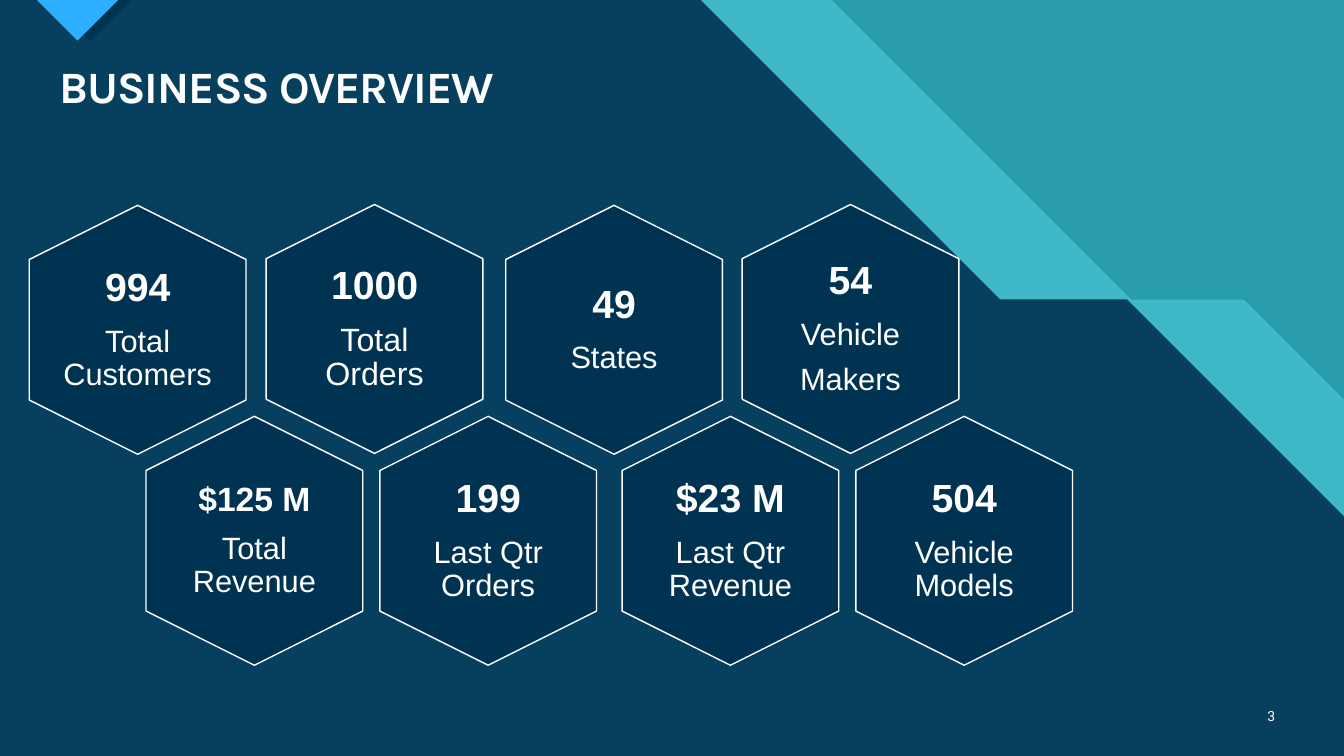
from dataclasses import dataclass

from pptx import Presentation
from pptx.dml.color import RGBColor
from pptx.enum.shapes import MSO_SHAPE
from pptx.enum.text import MSO_ANCHOR, PP_ALIGN
from pptx.util import Pt

HEXAGON = MSO_SHAPE.HEXAGON
TOP, MIDDLE = MSO_ANCHOR.TOP, MSO_ANCHOR.MIDDLE
LEFT, CENTER, RIGHT = PP_ALIGN.LEFT, PP_ALIGN.CENTER, PP_ALIGN.RIGHT


@dataclass(frozen=True)
class Theme:
    """Colours, fonts and type sizes of the slide."""

    teal: str = "299CAB"
    band: str = "3FB9C9"
    ground: str = "06405E"
    navy: str = "003352"
    accent: str = "2FAFFF"
    white: str = "FFFFFF"
    title_font: str = "Karla"
    body_font: str = "Arial"
    number_font: str = "Roboto"
    title: int = 32
    figure: int = 28
    small_figure: int = 24
    label: int = 22
    large_label: int = 23
    page: int = 10


THEME = Theme()
SLIDE_WIDTH, SLIDE_HEIGHT = 960, 540
HEX_LENGTH, HEX_BREADTH = 177.8, 154.8
CAPTION_WIDTH, CAPTION_HEIGHT = 106.6, 122.4
LINE_SPACING = 0.9
GAP_RATIO = 0.4

BACKDROP = [
    (THEME.band, [(0, 0), (594, 0), (808, 214), (888.5, 214),
                  (960, 285.5), (960, 540), (0, 540)]),
    (THEME.ground, [(0, 0), (500.4, 0), (714.2, 213.8), (805, 213.8),
                    (960, 368.8), (960, 540), (0, 540)]),
    (THEME.navy, [(35, 0), (94, 0), (64.5, 29.5)]),
    (THEME.accent, [(26.4, 0), (84.4, 0), (55.4, 29)]),
]

METRICS = [
    (98.3, 235.6, "994", THEME.figure, ["Total Customers"], THEME.label),
    (267.5, 235, "1000", THEME.figure, ["Total Orders"], THEME.large_label),
    (438.6, 235.6, "49", THEME.figure, ["States"], THEME.label),
    (607.5, 235, "54", THEME.figure, ["Vehicle", "Makers"], THEME.label),
    (181.7, 386.3, "$125 M", THEME.small_figure, ["Total Revenue"], THEME.label),
    (348.7, 386.3, "199", THEME.figure, ["Last Qtr Orders"], THEME.label),
    (521.7, 386.3, "$23 M", THEME.figure, ["Last Qtr Revenue"], THEME.label),
    (688.7, 386.3, "504", THEME.figure, ["Vehicle Models"], THEME.label),
]


def paint(fill, colour):
    """Give a fill one solid colour."""
    fill.solid()
    fill.fore_color.rgb = RGBColor.from_string(colour)


def add_polygon(slide, colour, corners):
    """Draw a closed, borderless outline through the corners."""
    points = [(Pt(x), Pt(y)) for x, y in corners]
    builder = slide.shapes.build_freeform(*points[0], scale=1.0)
    builder.add_line_segments(points[1:], close=True)
    polygon = builder.convert_to_shape()
    polygon.shadow.inherit = False
    paint(polygon.fill, colour)
    polygon.line.fill.background()


def add_text(slide, box, lines, font, align, anchor, inset=(0, 0), gap_ratio=0):
    """Place a text box whose lines are (text, size, bold) tuples."""
    frame = slide.shapes.add_textbox(*map(Pt, box)).text_frame
    frame.word_wrap = True
    frame.vertical_anchor = anchor
    frame.margin_left = frame.margin_right = Pt(inset[0])
    frame.margin_top = frame.margin_bottom = Pt(inset[1])
    frame.text = "\n".join(text for text, _, _ in lines)
    for paragraph, (_, size, bold) in zip(frame.paragraphs, lines):
        paragraph.alignment = align
        paragraph.line_spacing = LINE_SPACING
        paragraph.space_after = Pt(gap_ratio * size)
        style = paragraph.runs[0].font
        style.name = font
        style.size = Pt(size)
        style.bold = bold
        style.color.rgb = RGBColor.from_string(THEME.white)
    return frame


def add_metric(slide, x, y, figure, figure_size, labels, label_size):
    """Draw an upright hexagon centred on x, y with its figure and label."""
    cell = slide.shapes.add_shape(
        HEXAGON, Pt(x - HEX_LENGTH / 2), Pt(y - HEX_BREADTH / 2),
        Pt(HEX_LENGTH), Pt(HEX_BREADTH))
    cell.rotation = 90
    cell.shadow.inherit = False
    paint(cell.fill, THEME.navy)
    paint(cell.line.fill, THEME.white)
    cell.line.width = Pt(1)
    box = (x - CAPTION_WIDTH / 2, y - CAPTION_HEIGHT / 2,
           CAPTION_WIDTH, CAPTION_HEIGHT)
    lines = [(figure, figure_size, True)]
    lines += [(label, label_size, False) for label in labels]
    add_text(slide, box, lines, THEME.body_font, CENTER, MIDDLE,
             gap_ratio=GAP_RATIO)


def main():
    """Build the business overview slide and save it."""
    deck = Presentation()
    deck.slide_width, deck.slide_height = Pt(SLIDE_WIDTH), Pt(SLIDE_HEIGHT)
    slide = deck.slides.add_slide(deck.slide_layouts[6])
    paint(slide.background.fill, THEME.teal)
    for colour, corners in BACKDROP:
        add_polygon(slide, colour, corners)
    heading = add_text(slide, (35.3, 42.5, 882.7, 42.5),
                       [("BUSINESS OVERVIEW", THEME.title, True)],
                       THEME.title_font, LEFT, TOP, (7.2, 3.6))
    heading.paragraphs[0].runs[0].font._element.set("spc", "-70")
    add_text(slide, (886.3, 497.5, 31.7, 28.8), [("3", THEME.page, False)],
             THEME.number_font, RIGHT, MIDDLE, (7.2, 3.6))
    for metric in METRICS:
        add_metric(slide, *metric)
    deck.save("out.pptx")


if __name__ == "__main__":
    main()
